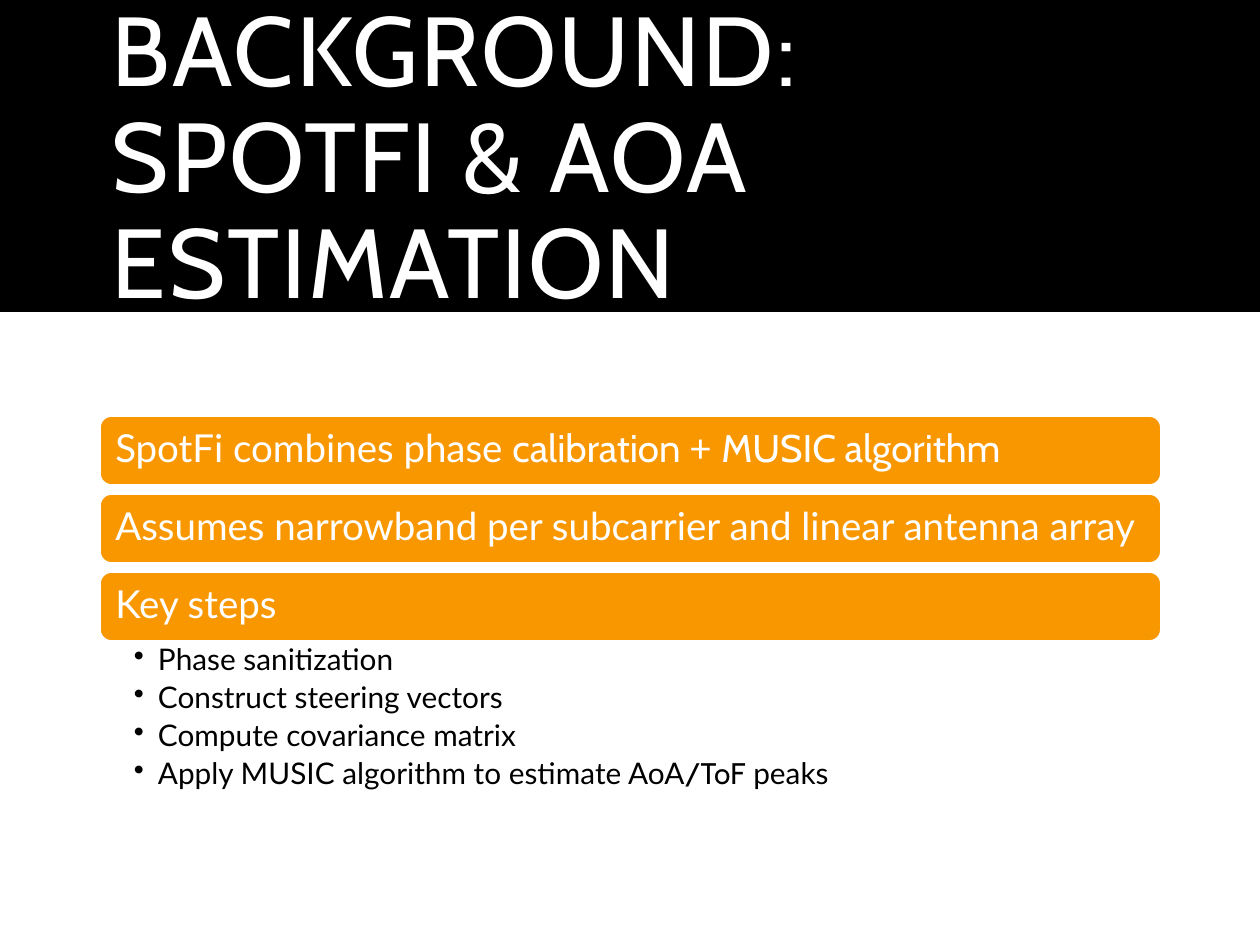
from lxml import etree
from pptx import Presentation
from pptx import util as u
from pptx.dml.color import RGBColor
from pptx.enum import shapes, text
from pptx.oxml.ns import qn

EMU_PER_PX = 914400 / 126
COLORS = {"band": "000000", "bar": "F99700", "light": "FFFFFF", "dark": "000000"}
HEAD, BODY = "Cabin", "Lato"
LEFT, WIDTH = 100, 1061
BAR_TOP, BAR_HEIGHT, BAR_PITCH = 416, 69, 78

TITLE = [("BACKGROUND: SPOTFI & AOA ESTIMATION", HEAD)]
BARS = [
    [("SpotFi combines phase ", BODY), ("calibration ", HEAD),
     ("+ ", BODY), ("MUSIC algorithm", HEAD)],
    [("Assumes narrowband per subcarrier and linear antenna array", BODY)],
    [("Key steps", BODY)],
]
STEPS = [
    [("Phase sanitization", BODY)],
    [("Construct steering vectors", BODY)],
    [("Compute covariance matrix", BODY)],
    [("Apply MUSIC algorithm to estimate AoA", BODY), ("/ToF", HEAD), (" peaks", BODY)],
]


def px(n):
    return u.Emu(round(n * EMU_PER_PX))


def rgb(name):
    return RGBColor.from_string(COLORS[name])


def add_box(slide, kind, box, fill, line=None):
    sp = slide.shapes.add_shape(kind, *map(px, box))
    sp.shadow.inherit = False
    sp.fill.solid()
    sp.fill.fore_color.rgb = rgb(fill)
    if line:
        sp.line.color.rgb = rgb(line)
        sp.line.width = u.Pt(1)
    else:
        sp.line.fill.background()
    return sp


def set_frame(sp, insets, anchor):
    """Set wrapping, anchor and insets (left, top, right, bottom)."""
    tf = sp.text_frame
    tf.word_wrap = True
    tf.vertical_anchor = anchor
    tf.margin_left, tf.margin_top, tf.margin_right, tf.margin_bottom = map(px, insets)
    return tf


def write(p, runs, size, color):
    p.alignment = text.PP_ALIGN.LEFT
    p.line_spacing = 0.9
    for words, font in runs:
        r = p.add_run()
        r.text = words
        r.font.name = font
        r.font.size = u.Pt(size)
        r.font.color.rgb = rgb(color)


def add_title(slide):
    sp = slide.shapes.add_textbox(*map(px, (LEFT, 44, WIDTH, 234)))
    tf = set_frame(sp, (12, 6, 60, 6), text.MSO_ANCHOR.MIDDLE)
    p = tf.paragraphs[0]
    write(p, TITLE, 56, "light")
    for r in p.runs:
        r.font._element.set("spc", "120")


def add_bar(slide, row, runs):
    box = (LEFT, BAR_TOP + row * BAR_PITCH, WIDTH, BAR_HEIGHT)
    sp = add_box(slide, shapes.MSO_SHAPE.ROUNDED_RECTANGLE, box, "bar", "light")
    tf = set_frame(sp, (12, 11, 12, 11), text.MSO_ANCHOR.MIDDLE)
    write(tf.paragraphs[0], runs, 22, "light")


def add_bullet(p, indent):
    pPr = p._p.get_or_add_pPr()
    pPr.set("marL", str(px(indent)))
    pPr.set("indent", str(-px(indent)))
    etree.SubElement(pPr, qn("a:buChar")).set("char", "•")


def add_steps(slide):
    top = BAR_TOP + (len(BARS) - 1) * BAR_PITCH + BAR_HEIGHT
    sp = slide.shapes.add_textbox(*map(px, (LEFT, top, WIDTH, 151)))
    tf = set_frame(sp, (34, 4, 21, 4), text.MSO_ANCHOR.TOP)
    for i, runs in enumerate(STEPS):
        p = tf.add_paragraph() if i else tf.paragraphs[0]
        write(p, runs, 17, "dark")
        p.space_after = u.Pt(3.4)
        add_bullet(p, 24)


def main():
    prs = Presentation()
    prs.slide_width, prs.slide_height = px(1260), px(945)
    slide = prs.slides.add_slide(prs.slide_layouts[6])
    add_box(slide, shapes.MSO_SHAPE.RECTANGLE, (0, 0, 1260, 312), "band")
    add_title(slide)
    for row, runs in enumerate(BARS):
        add_bar(slide, row, runs)
    add_steps(slide)
    prs.save("out.pptx")


if __name__ == "__main__":
    main()
